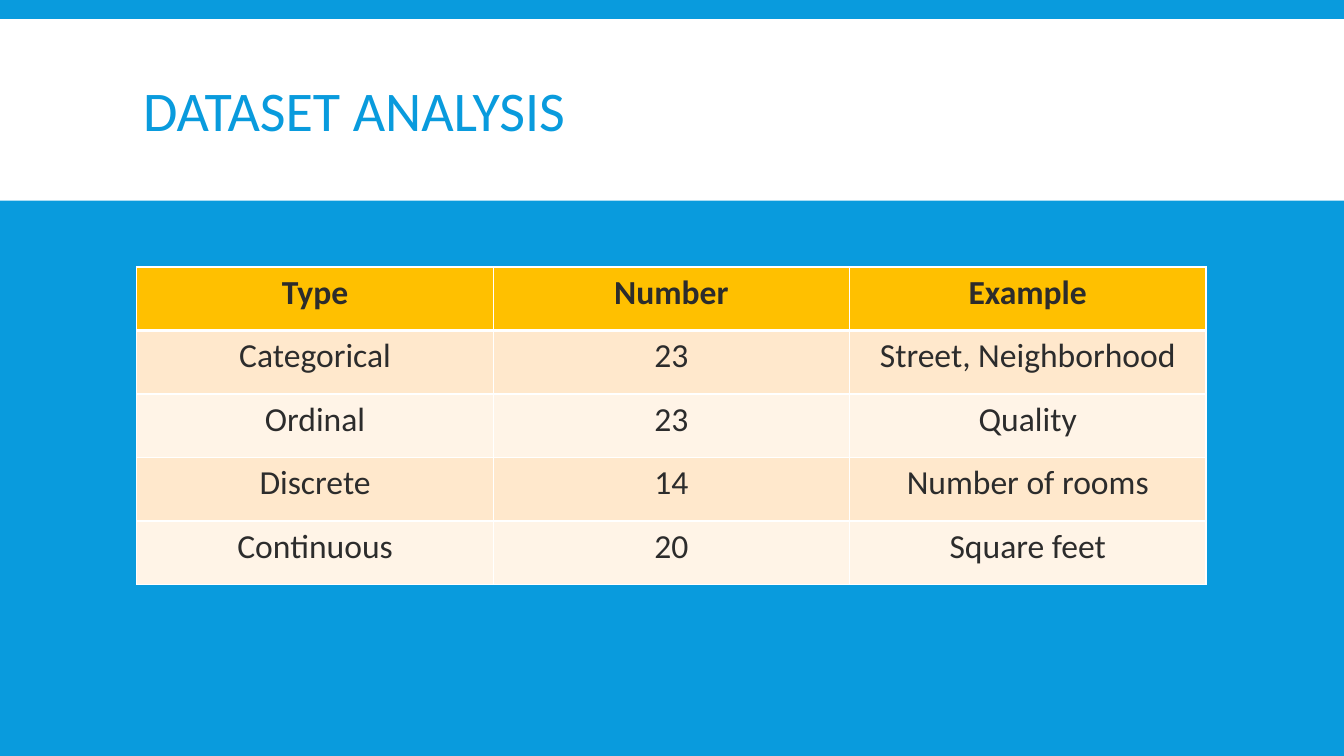
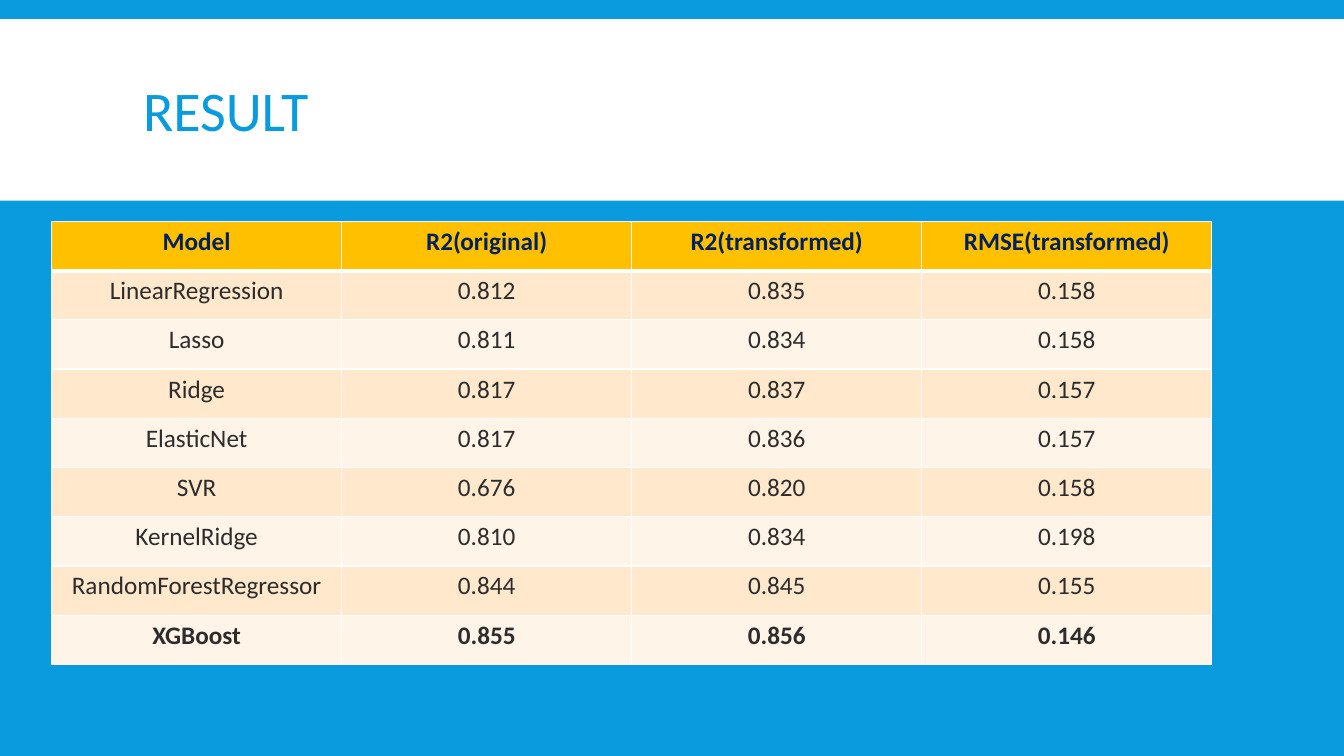
from lxml.etree import SubElement
from pptx import Presentation
from pptx.dml.color import RGBColor
from pptx.enum.shapes import MSO_SHAPE
from pptx.enum.text import MSO_ANCHOR, PP_ALIGN
from pptx.oxml.ns import qn
from pptx.util import Cm, Pt

FONT = "Calibri"
COLORS = {
    "blue": "099BDD",
    "white": "FFFFFF",
    "gold": "FFC000",
    "band_dark": "FFE8CC",
    "band_light": "FFF4E7",
    "text": "2C2C2C",
    "navy": "002060",
}

SLIDES = [
    {
        "title": "DATASET ANALYSIS",
        "left": 3.45, "top": 6.73, "width": 26.94, "row_height": 1.6,
        "size": 24, "header_color": "text", "bold_rows": [0],
        "rows": [
            ["Type", "Number", "Example"],
            ["Categorical", "23", "Street, Neighborhood"],
            ["Ordinal", "23", "Quality"],
            ["Discrete", "14", "Number of rooms"],
            ["Continuous", "20", "Square feet"],
        ],
    },
    {
        "title": "RESULT",
        "left": 1.3, "top": 5.58, "width": 29.24, "row_height": 1.24,
        "size": 18, "header_color": "navy", "bold_rows": [0, 8],
        "rows": [
            ["Model", "R2(original)", "R2(transformed)", "RMSE(transformed)"],
            ["LinearRegression", "0.812", "0.835", "0.158"],
            ["Lasso", "0.811", "0.834", "0.158"],
            ["Ridge", "0.817", "0.837", "0.157"],
            ["ElasticNet", "0.817", "0.836", "0.157"],
            ["SVR", "0.676", "0.820", "0.158"],
            ["KernelRidge", "0.810", "0.834", "0.198"],
            ["RandomForestRegressor", "0.844", "0.845", "0.155"],
            ["XGBoost", "0.855", "0.856", "0.146"],
        ],
    },
]


def add_span(para, text, size, color, bold=False):
    span = para.add_run()
    span.text = text
    span.font.name = FONT
    span.font.size = Pt(size)
    span.font.bold = bold
    span.font.color.rgb = RGBColor.from_string(COLORS[color])


def add_border(cell, side, width):
    properties = cell._tc.get_or_add_tcPr()
    line = SubElement(properties, qn(f"a:ln{side}"), w=str(Pt(width)))
    fill = SubElement(line, qn("a:solidFill"))
    SubElement(fill, qn("a:srgbClr"), val=COLORS["white"])


deck = Presentation()
deck.slide_width, deck.slide_height = Cm(33.87), Cm(19.05)

# Shared layout: blue background and title position
layout = deck.slide_layouts[5]
layout.background.fill.solid()
layout.background.fill.fore_color.rgb = RGBColor.from_string(COLORS["blue"])
layout_title = layout.placeholders[0]
layout_title.left, layout_title.top = Cm(3.35), Cm(0.79)
layout_title.width, layout_title.height = Cm(27.18), Cm(4.19)
layout_title.text_frame.vertical_anchor = MSO_ANCHOR.MIDDLE

pages = [deck.slides.add_slide(layout) for content in SLIDES]

# White title band, moved into the layout behind the title
band = pages[0].shapes.add_shape(
    MSO_SHAPE.RECTANGLE, 0, Cm(0.48), deck.slide_width, Cm(4.58))
band.shadow.inherit = False
band.fill.solid()
band.fill.fore_color.rgb = RGBColor.from_string(COLORS["white"])
band.line.fill.background()
band.element.nvSpPr.cNvPr.set("id", "20")
layout_title.element.addprevious(band.element)

for page, content in zip(pages, SLIDES):
    # Title
    para = page.shapes.title.text_frame.paragraphs[0]
    para.alignment = PP_ALIGN.LEFT
    para.line_spacing = 0.85
    add_span(para, content["title"], 40, "blue")

    # Table
    rows = content["rows"]
    table = page.shapes.add_table(
        len(rows), len(rows[0]), Cm(content["left"]), Cm(content["top"]),
        Cm(content["width"]), Cm(content["row_height"] * len(rows))).table
    table.horz_banding = False

    for r, values in enumerate(rows):
        table.rows[r].height = Cm(content["row_height"])
        if r == 0:
            fill_color, text_color = "gold", content["header_color"]
        else:
            fill_color = "band_dark" if r % 2 else "band_light"
            text_color = "text"

        for c, value in enumerate(values):
            cell = table.cell(r, c)
            # A thick rule separates the header from the body
            widths = {"L": 1, "R": 1, "T": 3 if r == 1 else 1, "B": 3 if r == 0 else 1}
            for side, width in widths.items():
                add_border(cell, side, width)
            cell.fill.solid()
            cell.fill.fore_color.rgb = RGBColor.from_string(COLORS[fill_color])
            para = cell.text_frame.paragraphs[0]
            para.alignment = PP_ALIGN.CENTER
            add_span(para, value, content["size"], text_color, r in content["bold_rows"])

deck.save("out.pptx")
